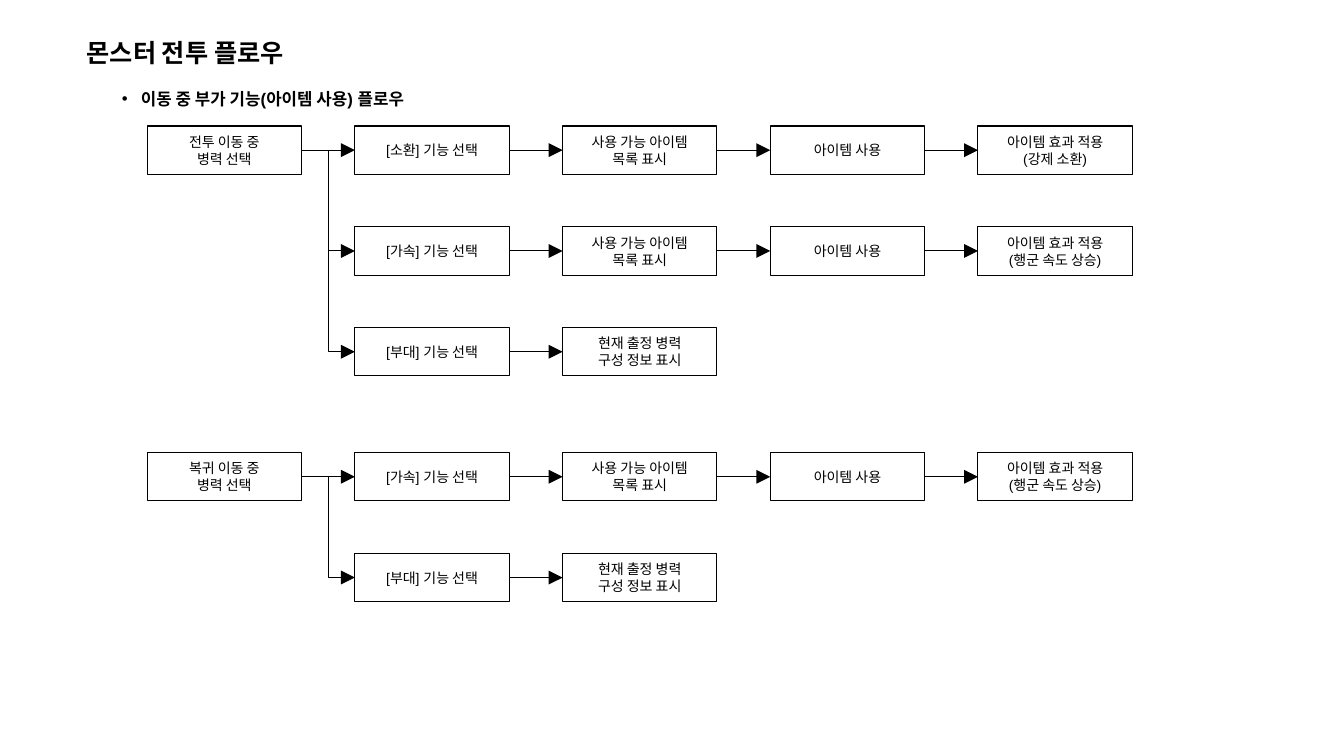
from dataclasses import dataclass

from pptx import Presentation
from pptx.dml.color import RGBColor
from pptx.enum.shapes import MSO_CONNECTOR as CONN, MSO_SHAPE
from pptx.enum.text import MSO_ANCHOR as ANCHOR, MSO_AUTO_SIZE, PP_ALIGN as ALIGN
from pptx.oxml.ns import qn
from pptx.util import Inches, Pt
from lxml.etree import SubElement


@dataclass(frozen=True)
class Theme:
    font: str = "Arial"
    ink: RGBColor = RGBColor(0, 0, 0)
    paper: RGBColor = RGBColor(255, 255, 255)
    title: float = 18
    subtitle: float = 12
    box: float = 10
    line: float = 0.75


THEME = Theme()
LEFT, COL_STEP, ROW_STEP = 1.46, 2.06, 1.0
BOX_W, BOX_H = 1.53, 0.48
TOP_SIDE, LEFT_SIDE, BOTTOM_SIDE, RIGHT_SIDE = range(4)

USE_ITEM = ["사용 가능 아이템\n목록 표시", "아이템 사용"]
SPEED_UP = ["[가속] 기능 선택", *USE_ITEM, "아이템 효과 적용\n(행군 속도 상승)"]
RECALL = ["[소환] 기능 선택", *USE_ITEM, "아이템 효과 적용\n(강제 소환)"]
TROOPS = ["[부대] 기능 선택", "현재 출정 병력\n구성 정보 표시"]

# top of the flow, starting step, branches
FLOWS = [
    (1.25, "전투 이동 중\n병력 선택", [RECALL, SPEED_UP, TROOPS]),
    (4.49, "복귀 이동 중\n병력 선택", [SPEED_UP, TROOPS]),
]


def write(tf, text, size, bold=False, align=ALIGN.LEFT):
    """Put each line of text in its own paragraph."""
    for i, line in enumerate(text.split("\n")):
        p = tf.add_paragraph() if i else tf.paragraphs[0]
        p.alignment = align
        r = p.add_run()
        r.text = line
        r.font.name = THEME.font
        r.font.size = Pt(size)
        r.font.bold = bold
        r.font.color.rgb = THEME.ink


def add_title(slide, text):
    sp = slide.shapes.title
    sp.left, sp.top, sp.width, sp.height = map(Inches, (0.76, 0.32, 2.4, 0.4))
    tf = sp.text_frame
    tf.word_wrap = False
    tf.auto_size = MSO_AUTO_SIZE.NONE
    tf.vertical_anchor = ANCHOR.TOP
    write(tf, text, THEME.title, bold=True)


def add_bullet_line(slide, text):
    sp = slide.shapes.add_textbox(Inches(1.11), Inches(0.73), Inches(12.22), Inches(0.4))
    tf = sp.text_frame
    tf.word_wrap = True
    write(tf, text, THEME.subtitle, bold=True)
    p = tf.paragraphs[0]
    p.line_spacing = 1.5
    pPr = p._p.get_or_add_pPr()
    pPr.set("marL", str(Inches(0.19)))
    pPr.set("indent", str(-Inches(0.19)))
    SubElement(pPr, qn("a:buFont"), typeface=THEME.font)
    SubElement(pPr, qn("a:buChar"), char="•")


def add_box(slide, col, top, text):
    sp = slide.shapes.add_shape(
        MSO_SHAPE.RECTANGLE, Inches(LEFT + col * COL_STEP), Inches(top),
        Inches(BOX_W), Inches(BOX_H))
    sp.shadow.inherit = False
    sp.fill.solid()
    sp.fill.fore_color.rgb = THEME.paper
    sp.line.color.rgb = THEME.ink
    sp.line.width = Pt(THEME.line)
    tf = sp.text_frame
    tf.word_wrap = True
    tf.vertical_anchor = ANCHOR.MIDDLE
    write(tf, text, THEME.box, align=ALIGN.CENTER)
    return sp


def add_arrow(slide, source, target):
    """Join two boxes, with an elbow if they are in different rows."""
    kind = CONN.STRAIGHT if source.top == target.top else CONN.ELBOW
    arrow = slide.shapes.add_connector(kind, 0, 0, 0, 0)
    arrow.begin_connect(source, RIGHT_SIDE)
    arrow.end_connect(target, LEFT_SIDE)
    arrow.line.color.rgb = THEME.ink
    arrow.line.width = Pt(THEME.line)
    SubElement(arrow.line._get_or_add_ln(), qn("a:tailEnd"), type="triangle", w="lg", len="lg")
    SubElement(arrow._element.spPr, qn("a:effectLst"))


def add_flow(slide, top, start, branches):
    start_box = add_box(slide, 0, top, start)
    for row, steps in enumerate(branches):
        previous = start_box
        for col, text in enumerate(steps, start=1):
            box = add_box(slide, col, top + row * ROW_STEP, text)
            add_arrow(slide, previous, box)
            previous = box


def main():
    prs = Presentation()
    prs.slide_width, prs.slide_height = Inches(13.33), Inches(7.5)
    slide = prs.slides.add_slide(prs.slide_layouts[5])
    add_title(slide, "몬스터 전투 플로우")
    add_bullet_line(slide, "이동 중 부가 기능(아이템 사용) 플로우")
    for flow in FLOWS:
        add_flow(slide, *flow)
    prs.save("out.pptx")


if __name__ == "__main__":
    main()
